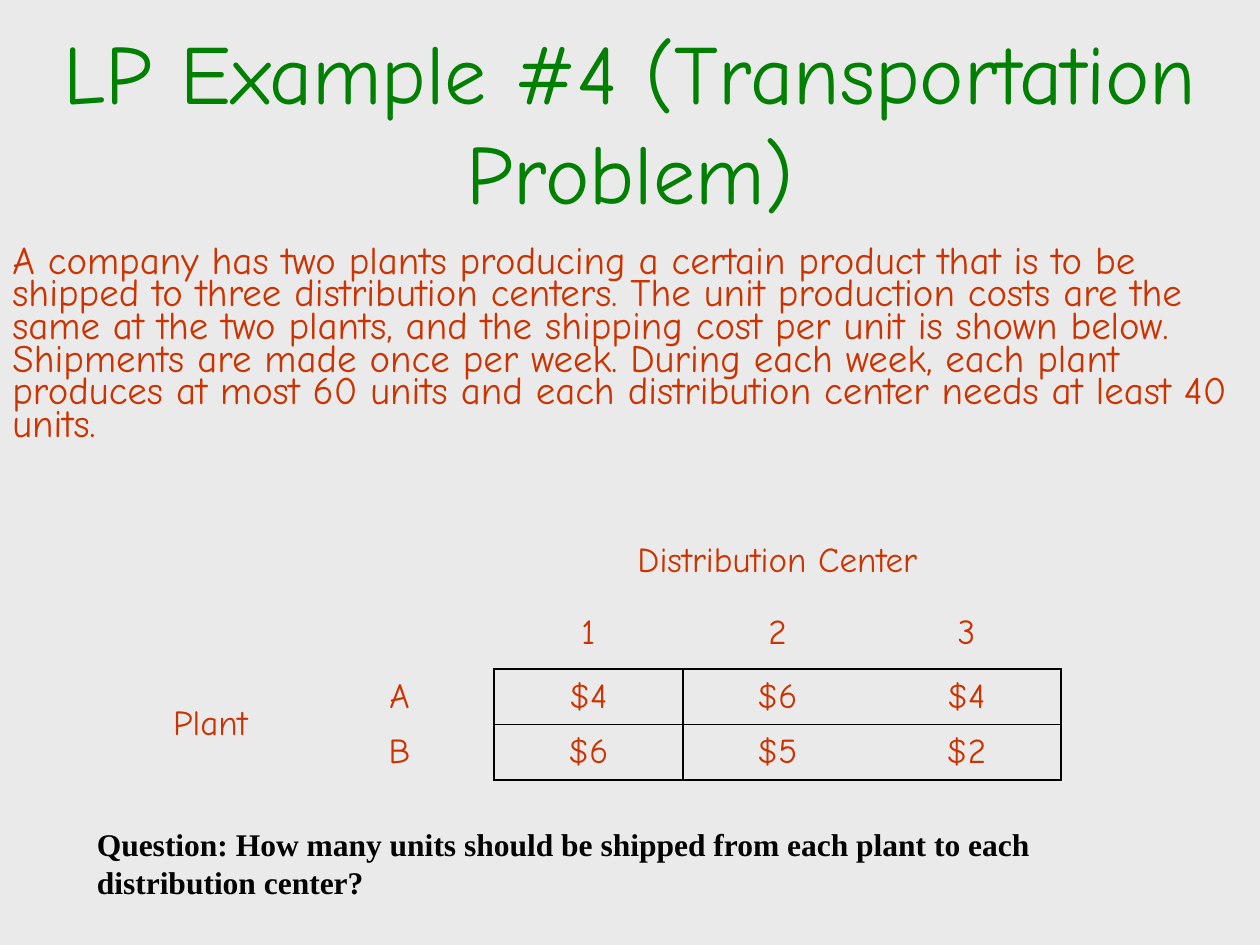
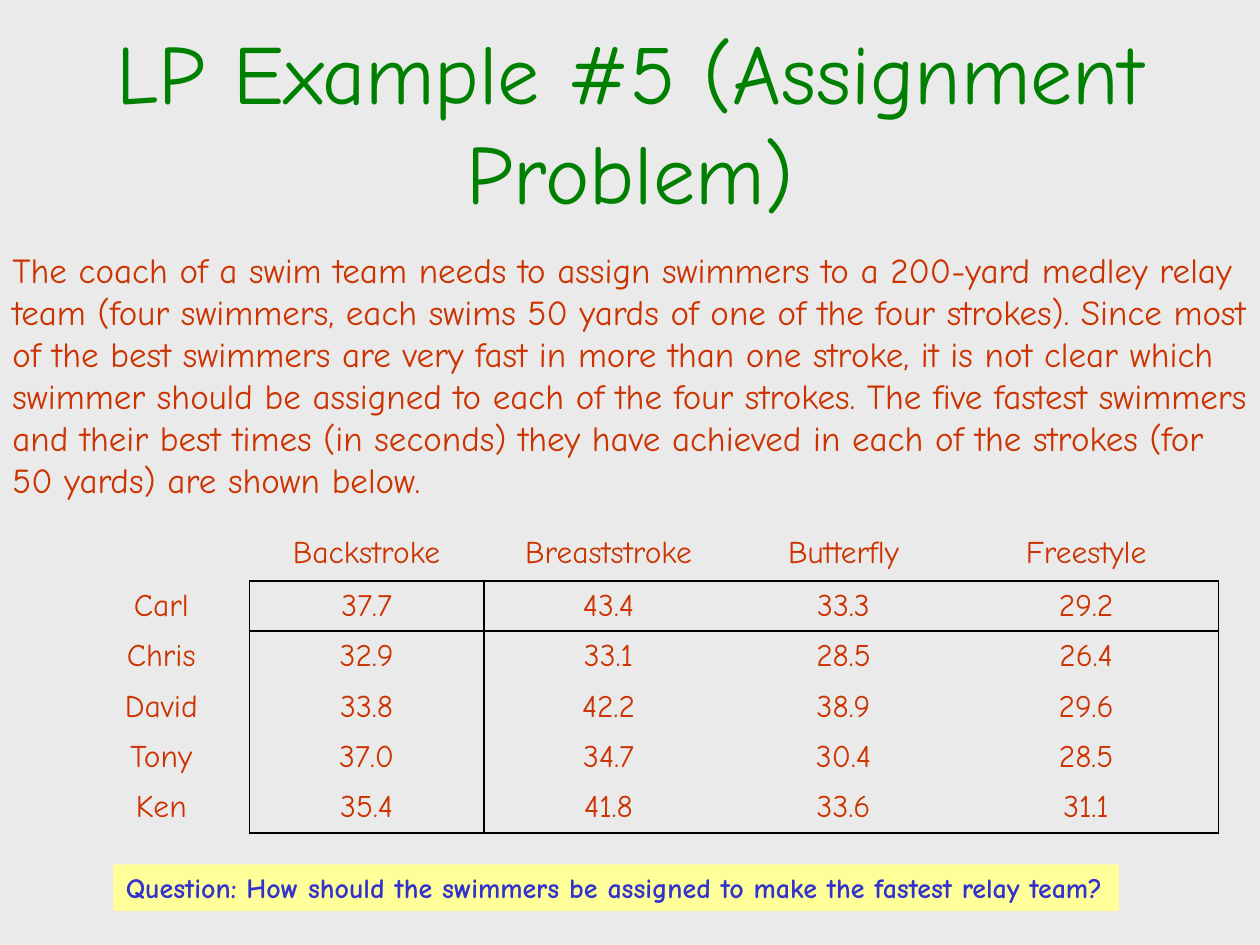
import dataclasses

import lxml.etree
import pptx
import pptx.dml.color
import pptx.enum.shapes
import pptx.enum.text
import pptx.oxml.ns
import pptx.util

Inches = pptx.util.Inches
Pt = pptx.util.Pt
qn = pptx.oxml.ns.qn
Align = pptx.enum.text.PP_ALIGN
Anchor = pptx.enum.text.MSO_ANCHOR
AutoSize = pptx.enum.text.MSO_AUTO_SIZE


@dataclasses.dataclass(frozen=True)
class Theme:
    background: str = "EAEAEA"
    title: str = "008000"
    body: str = "CC3300"
    ink: str = "000000"
    highlight: str = "FFFF99"
    highlight_text: str = "3333CC"
    font: str = "Comic Neue"
    serif: str = "Times New Roman"
    title_size: float = 48
    cost_body_size: float = 22.2
    cost_table_size: float = 20
    times_body_size: float = 20
    times_table_size: float = 18
    cost_question_size: float = 18
    times_question_size: float = 16
    frame_width: float = 1.08


THEME = Theme()
PLAIN_TABLE_STYLE = "{2D5ABB26-0587-4C30-8999-92F81FD0307C}"
TITLE_BOX = (0, 0, 10, 1.92)

COST_ROWS = [
    ["", "", "Distribution Center", "", ""],
    ["", "", "1", "2", "3"],
    ["Plant", "A", "$4", "$6", "$4"],
    ["", "B", "$6", "$5", "$2"],
]
TIME_ROWS = [
    ["", "Backstroke", "Breaststroke", "Butterfly", "Freestyle"],
    ["Carl", "37.7", "43.4", "33.3", "29.2"],
    ["Chris", "32.9", "33.1", "28.5", "26.4"],
    ["David", "33.8", "42.2", "38.9", "29.6"],
    ["Tony", "37.0", "34.7", "30.4", "28.5"],
    ["Ken", "35.4", "41.8", "33.6", "31.1"],
]


def color(value):
    return pptx.dml.color.RGBColor.from_string(value)


def write(text_frame, text, size, text_color, font=THEME.font, bold=False,
          align=Align.LEFT, space_before=0, line_spacing=1.0):
    text_frame.text = text
    paragraph = text_frame.paragraphs[0]
    paragraph.alignment = align
    paragraph.space_before = Pt(space_before)
    paragraph.line_spacing = line_spacing
    for run in paragraph.runs:
        run.font.name = font
        run.font.size = Pt(size)
        run.font.bold = bold
        run.font.color.rgb = color(text_color)


def add_titled_slide(presentation, title):
    slide = presentation.slides.add_slide(presentation.slide_layouts[5])
    shape = slide.shapes.title
    shape.left, shape.top, shape.width, shape.height = map(Inches, TITLE_BOX)
    shape.text_frame.auto_size = AutoSize.NONE
    shape.text_frame.vertical_anchor = Anchor.MIDDLE
    write(shape.text_frame, title, THEME.title_size, THEME.title, align=Align.CENTER)
    return slide


def add_text(slide, box, text, size, text_color, auto_size=AutoSize.NONE, **style):
    text_frame = slide.shapes.add_textbox(*map(Inches, box)).text_frame
    text_frame.word_wrap = True
    text_frame.auto_size = auto_size
    write(text_frame, text, size, text_color, **style)


def add_highlighted_question(slide, box, text):
    shape = slide.shapes.add_shape(
        pptx.enum.shapes.MSO_SHAPE.RECTANGLE, *map(Inches, box))
    shape.shadow.inherit = False
    shape.fill.solid()
    shape.fill.fore_color.rgb = color(THEME.highlight)
    shape.line.fill.background()
    text_frame = shape.text_frame
    text_frame.word_wrap = False
    text_frame.auto_size = AutoSize.SHAPE_TO_FIT_TEXT
    text_frame.vertical_anchor = Anchor.TOP
    write(text_frame, text, THEME.times_question_size, THEME.highlight_text, bold=True)


def set_borders(cell, visible_sides):
    properties = cell._tc.get_or_add_tcPr()
    for index, side in enumerate(visible_sides):
        line = lxml.etree.Element(qn(f"a:ln{side}"), w=str(Pt(THEME.frame_width)))
        fill = lxml.etree.SubElement(line, qn("a:solidFill"))
        lxml.etree.SubElement(fill, qn("a:srgbClr"), val=THEME.ink)
        properties.insert(index, line)


def add_framed_table(slide, left, top, column_widths, row_heights, rows,
                     frame_start, size, space_before):
    """Add a plain table, outlined from the frame_start cell to the last cell."""
    graphic_frame = slide.shapes.add_table(
        len(rows), len(column_widths), Inches(left), Inches(top),
        Inches(sum(column_widths)), Inches(sum(row_heights)))
    table = graphic_frame.table
    table.first_row = table.horz_banding = False
    for style in graphic_frame.element.iter(qn("a:tableStyleId")):
        style.text = PLAIN_TABLE_STYLE
    for column, width in zip(table.columns, column_widths):
        column.width = Inches(width)
    for row, height in zip(table.rows, row_heights):
        row.height = Inches(height)

    def framed(row, column):
        return (frame_start[0] <= row < len(rows)
                and frame_start[1] <= column < len(column_widths))

    for row, texts in enumerate(rows):
        for column, text in enumerate(texts):
            cell = table.cell(row, column)
            cell.fill.background()
            cell.vertical_anchor = Anchor.MIDDLE
            if text:
                write(cell.text_frame, text, size, THEME.body,
                      align=Align.CENTER, space_before=space_before)
            neighbours = {"L": (row, column - 1), "R": (row, column + 1),
                          "T": (row - 1, column), "B": (row + 1, column)}
            set_borders(cell, [side for side, neighbour in neighbours.items()
                               if framed(row, column) != framed(*neighbour)])
    return table


def build_transportation_slide(presentation):
    slide = add_titled_slide(presentation, "LP Example #4 (Transportation Problem)")
    add_text(
        slide, (0, 1.92, 10, 1.83),
        "A company has two plants producing a certain product that is to be shipped "
        "to three distribution centers. The unit production costs are the same at the "
        "two plants, and the shipping cost per unit is shown below. Shipments are made "
        "once per week. During each week, each plant produces at most 60 units and "
        "each distribution center needs at least 40 units.",
        THEME.cost_body_size, THEME.body, space_before=6, line_spacing=0.7)
    table = add_framed_table(
        slide, 0.92, 4.17, [1.5] * 5, [0.57, 0.57, 0.44, 0.44], COST_ROWS,
        frame_start=(2, 2), size=THEME.cost_table_size, space_before=5)
    table.cell(0, 2).merge(table.cell(0, 4))
    table.cell(2, 0).merge(table.cell(3, 0))
    add_text(
        slide, (0.67, 6.5, 8.18, 0.7),
        "Question: How many units should be shipped from each plant to each "
        "distribution center?",
        THEME.cost_question_size, THEME.ink, font=THEME.serif, bold=True,
        auto_size=AutoSize.SHAPE_TO_FIT_TEXT)


def build_assignment_slide(presentation):
    slide = add_titled_slide(presentation, "LP Example #5 (Assignment Problem)")
    add_text(
        slide, (0, 1.92, 10, 2.18),
        "The coach of a swim team needs to assign swimmers to a 200-yard medley relay "
        "team (four swimmers, each swims 50 yards of one of the four strokes). Since "
        "most of the best swimmers are very fast in more than one stroke, it is not "
        "clear which swimmer should be assigned to each of the four strokes. The five "
        "fastest swimmers and their best times (in seconds) they have achieved in each "
        "of the strokes (for 50 yards) are shown below.",
        THEME.times_body_size, THEME.body, space_before=5)
    add_framed_table(
        slide, 0.58, 4.17, [1.4, 1.86, 1.98, 1.75, 2.1], [0.44] + [0.4] * 5, TIME_ROWS,
        frame_start=(1, 1), size=THEME.times_table_size, space_before=4.5)
    add_highlighted_question(
        slide, (0.9, 6.86, 7.98, 0.37),
        "Question: How should the swimmers be assigned to make the fastest relay team?")


def main():
    presentation = pptx.Presentation()
    presentation.slide_width = Inches(10)
    presentation.slide_height = Inches(7.5)
    background = presentation.slide_master.background.fill
    background.solid()
    background.fore_color.rgb = color(THEME.background)
    build_transportation_slide(presentation)
    build_assignment_slide(presentation)
    presentation.save("out.pptx")


if __name__ == "__main__":
    main()
